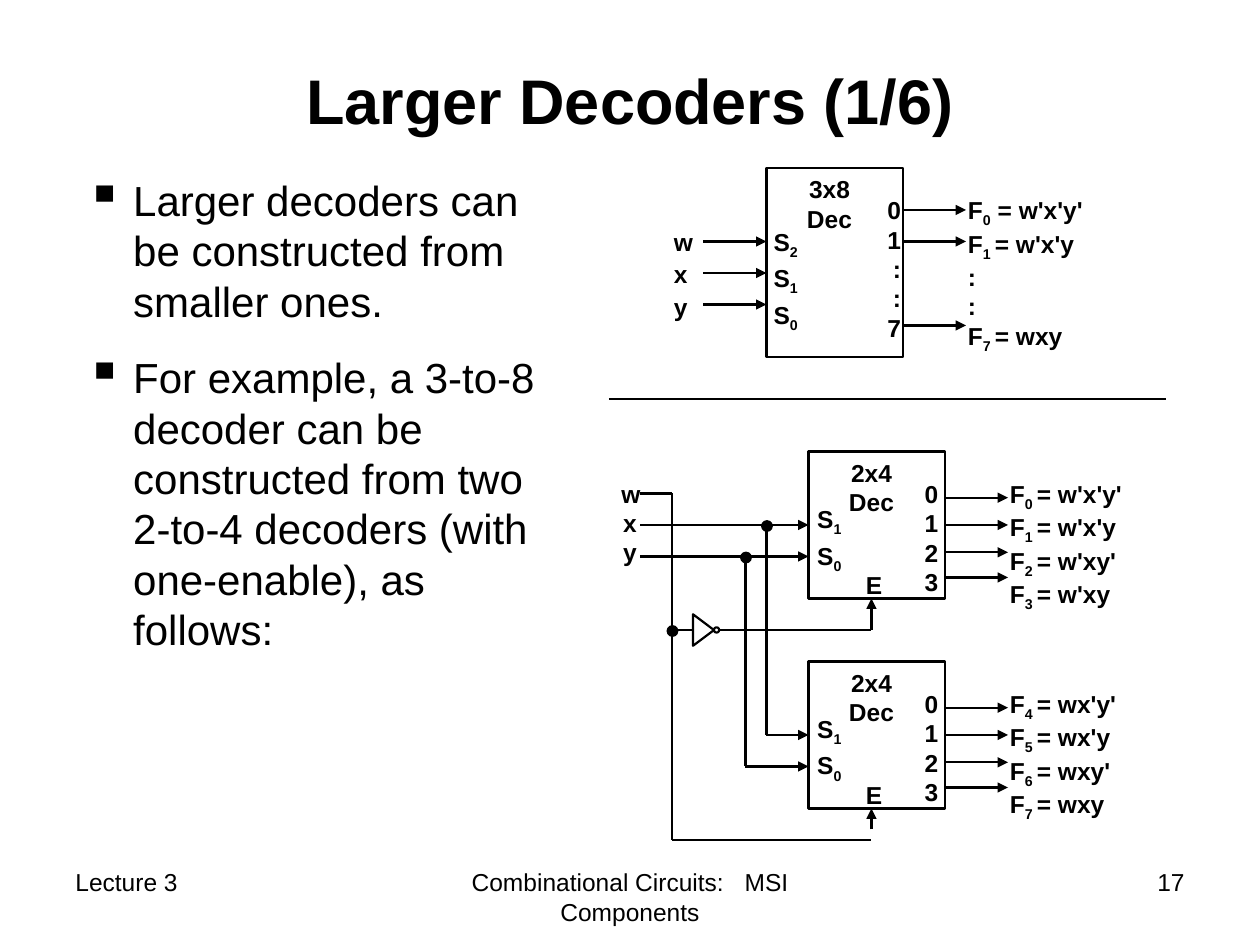
import pptx
import pptx.dml.color
import pptx.enum.shapes
import pptx.enum.text
import pptx.oxml
import pptx.oxml.ns
import pptx.util

SHAPE = pptx.enum.shapes.MSO_SHAPE
ALIGN = pptx.enum.text.PP_ALIGN
COLS, ROWS = 120, 90
WIDTH, HEIGHT = pptx.util.Inches(10), pptx.util.Inches(7.5)
BLACK = "000000"


def col(n):
    """Return the length of n grid columns."""
    return round(WIDTH * n / COLS)


def row(n):
    """Return the length of n grid rows."""
    return round(HEIGHT * n / ROWS)


def color(value):
    """Return a colour from a hex string."""
    return pptx.dml.color.RGBColor.from_string(value)


def add_xml(parent, tag, **attrs):
    """Append an empty drawing element with the given attributes."""
    el = pptx.oxml.parse_xml(f"<a:{tag} {pptx.oxml.ns.nsdecls('a')}/>")
    for name, value in attrs.items():
        el.set(name, value)
    parent.append(el)


def set_font(p, size, bold=False):
    """Give a paragraph the slide's typeface."""
    p.font.name, p.font.size, p.font.bold = "Arial", pptx.util.Pt(size), bold
    p.font.color.rgb = color(BLACK)


def add_text(shapes, box, lines, size=14, bold=True, align=ALIGN.LEFT, gap=0, bullet=None):
    """Write lines in a grid box; underscores enclose subscripts."""
    x, y, w, h = box
    tf = shapes.add_textbox(col(x), row(y), col(w), row(h)).text_frame
    tf.word_wrap = True
    for i, line in enumerate(lines):
        p = tf.paragraphs[0] if i == 0 else tf.add_paragraph()
        p.alignment = align
        p.space_before = pptx.util.Pt(gap if i else 0)
        if bullet:
            pPr = p._p.get_or_add_pPr()
            pPr.set("marL", str(col(4.5)))
            pPr.set("indent", str(-col(4.5)))
            add_xml(pPr, "buSzPct", val="120000")
            add_xml(pPr, "buChar", char=bullet)
        for j, part in enumerate(line.split("_")):
            r = p.add_run()
            r.text = part
            if j % 2:
                r._r.get_or_add_rPr().set("baseline", "-25000")
        set_font(p, size, bold)
    return tf


def add_line(shapes, x1, y1, x2, y2, width=1.25, arrow=False):
    """Draw a wire between two grid points."""
    kind = pptx.enum.shapes.MSO_CONNECTOR.STRAIGHT
    sp = shapes.add_connector(kind, col(x1), row(y1), col(x2), row(y2))
    sp.line.width = pptx.util.Pt(width)
    sp.line.color.rgb = color(BLACK)
    if arrow:
        add_xml(sp.line._get_or_add_ln(), "tailEnd", type="triangle")
    add_xml(sp._element.spPr, "effectLst")


def add_outline(shapes, kind, x, y, w, h, width, filled=False):
    """Draw a black outlined shape in a grid box."""
    sp = shapes.add_shape(kind, col(x), row(y), col(w), row(h))
    sp.shadow.inherit = False
    sp.line.width = pptx.util.Pt(width)
    sp.line.color.rgb = color(BLACK)
    if filled:
        sp.fill.solid()
        sp.fill.fore_color.rgb = color(BLACK)
    else:
        sp.fill.background()
    return sp


def add_decoder(shapes, box, name, selects, select_at, digits, digits_x, functions, output_rows):
    """Draw a decoder block with its pins and output functions."""
    x, y, w, h = box
    add_outline(shapes, SHAPE.RECTANGLE, x, y, w, h, 1.5)
    add_text(shapes, (x + 1, y, 10, 6.8), [name, "Dec"], align=ALIGN.CENTER)
    dx, dy = select_at
    add_text(shapes, (x + dx, y + dy, 5.5, 4 * len(selects)), selects, gap=1.8)
    add_text(shapes, (x + digits_x, y + 2, 5, 2.8 * len(digits) + 1.2), digits, align=ALIGN.RIGHT)
    add_text(shapes, (x + w + 5, y + 2, 15, 3.2 * len(functions) + 1.2), functions)
    for dy in output_rows:
        add_line(shapes, x + w, y + dy, x + w + 6, y + dy, arrow=True)


def add_three_bit(slide, x, y):
    """Draw the 3x8 decoder with its inputs."""
    shapes = slide.shapes.add_group_shape().shapes
    add_decoder(shapes, (x, y, 13, 18), "3x8", ["S_2_", "S_1_", "S_0_"], (-0.5, 5),
                ["0", "1", ":", ":", "7"], 9,
                ["F_0_ = w'x'y'", "F_1 _= w'x'y", ":", ":", "F_7 _= wxy"], (4, 7, 15))
    add_text(shapes, (x - 10, y + 5, 4, 10.2), ["w", "x", "y"], gap=1.8)
    for dy in (7, 10, 13):
        add_line(shapes, x - 6, y + dy, x, y + dy, arrow=True)


def add_pair(slide, x, y):
    """Draw two 2x4 decoders wired as one 3x8 decoder."""
    shapes = slide.shapes.add_group_shape().shapes
    step, w_x, y_x, x_x, enable_x = 20, x - 13, x - 6, x - 4, x + 6
    outputs = (["w'x'y'", "w'x'y", "w'xy'", "w'xy"], ["wx'y'", "wx'y", "wxy'", "wxy"])
    for k, terms in enumerate(outputs):
        top = y + k * step
        functions = [f"F_{4 * k + i} _= {term}" for i, term in enumerate(terms)]
        add_decoder(shapes, (x, top, 13, 14), "2x4", ["S_1_", "S_0_"], (-0.35, 4.4),
                    list("0123"), 8.55, functions, (4.4, 7, 9.6, 12))
        add_text(shapes, (x + 4.25, top + 10.7, 4, 4), ["E"], align=ALIGN.CENTER)
        add_line(shapes, enable_x, top + 17 - k, enable_x, top + 14, arrow=True)
    for tap_x, dy in ((x_x, 7), (y_x, 10)):
        add_line(shapes, x - 16, y + dy, x, y + dy, arrow=True)
        add_line(shapes, tap_x, y + dy, tap_x, y + dy + step)
        add_line(shapes, tap_x, y + dy + step, x, y + dy + step, arrow=True)
    bottom = y + 37
    add_line(shapes, x - 16, y + 4, w_x, y + 4)
    add_line(shapes, w_x, y + 4, w_x, bottom)
    add_line(shapes, w_x, bottom, enable_x, bottom)
    add_line(shapes, w_x, y + 17, x - 11, y + 17)
    add_line(shapes, x - 8.5, y + 17, enable_x, y + 17)
    gate = add_outline(shapes, SHAPE.FLOWCHART_MERGE, x - 11.5, y + 16, 3, 2, 1.25)
    gate.rotation = 270
    add_outline(shapes, SHAPE.OVAL, x - 9, y + 16.75, 0.5, 0.5, 1.25)
    for dot_x, dy in ((w_x, 17), (y_x, 10), (x_x, 7)):
        add_outline(shapes, SHAPE.OVAL, dot_x - 0.45, y + dy - 0.4, 1, 1, 0.75, filled=True)
    add_text(shapes, (x - 19, y + 2, 4, 9.6), ["w", "x", "y"], align=ALIGN.CENTER)


def add_title(slide, box, text):
    """Place and format the title placeholder."""
    x, y, w, h = box
    sp = slide.shapes.title
    sp.left, sp.top, sp.width, sp.height = col(x), row(y), col(w), row(h)
    tf = sp.text_frame
    tf.text = text
    tf.vertical_anchor = pptx.enum.text.MSO_ANCHOR.MIDDLE
    p = tf.paragraphs[0]
    p.alignment = ALIGN.CENTER
    set_font(p, 36, True)


def add_footer(slide, y, h):
    """Write the lecture, topic and page number."""
    add_text(slide.shapes, (6, y, 28, h), ["Lecture 3"], bold=False)
    tf = add_text(slide.shapes, (41, y, 38, h), ["Combinational Circuits:_ _MSI Components"],
                  bold=False, align=ALIGN.CENTER)
    rPr = tf.paragraphs[0].runs[1]._r.get_or_add_rPr()
    rPr.set("baseline", "0")
    rPr.set("spc", "780")
    add_text(slide.shapes, (86, y, 28, h), ["17"], bold=False, align=ALIGN.RIGHT)


def main():
    """Build and save the slide."""
    prs = pptx.Presentation()
    prs.slide_width, prs.slide_height = WIDTH, HEIGHT
    slide = prs.slides.add_slide(prs.slide_layouts[5])
    add_title(slide, (9, 2, 102, 15), "Larger Decoders (1/6)")
    add_text(slide.shapes, (7, 16, 46, 51), [
        "Larger decoders can be constructed from smaller ones.",
        "For example, a 3-to-8 decoder can be constructed from two 2-to-4 decoders "
        "(with one-enable), as follows:"], size=24, bold=False, gap=15, bullet="▪")
    add_three_bit(slide, 73, 16)
    add_pair(slide, 77, 43)
    add_line(slide.shapes, 58, 38, 111, 38, width=0.75)
    add_footer(slide, 82, 6.2)
    prs.save("out.pptx")


if __name__ == "__main__":
    main()
